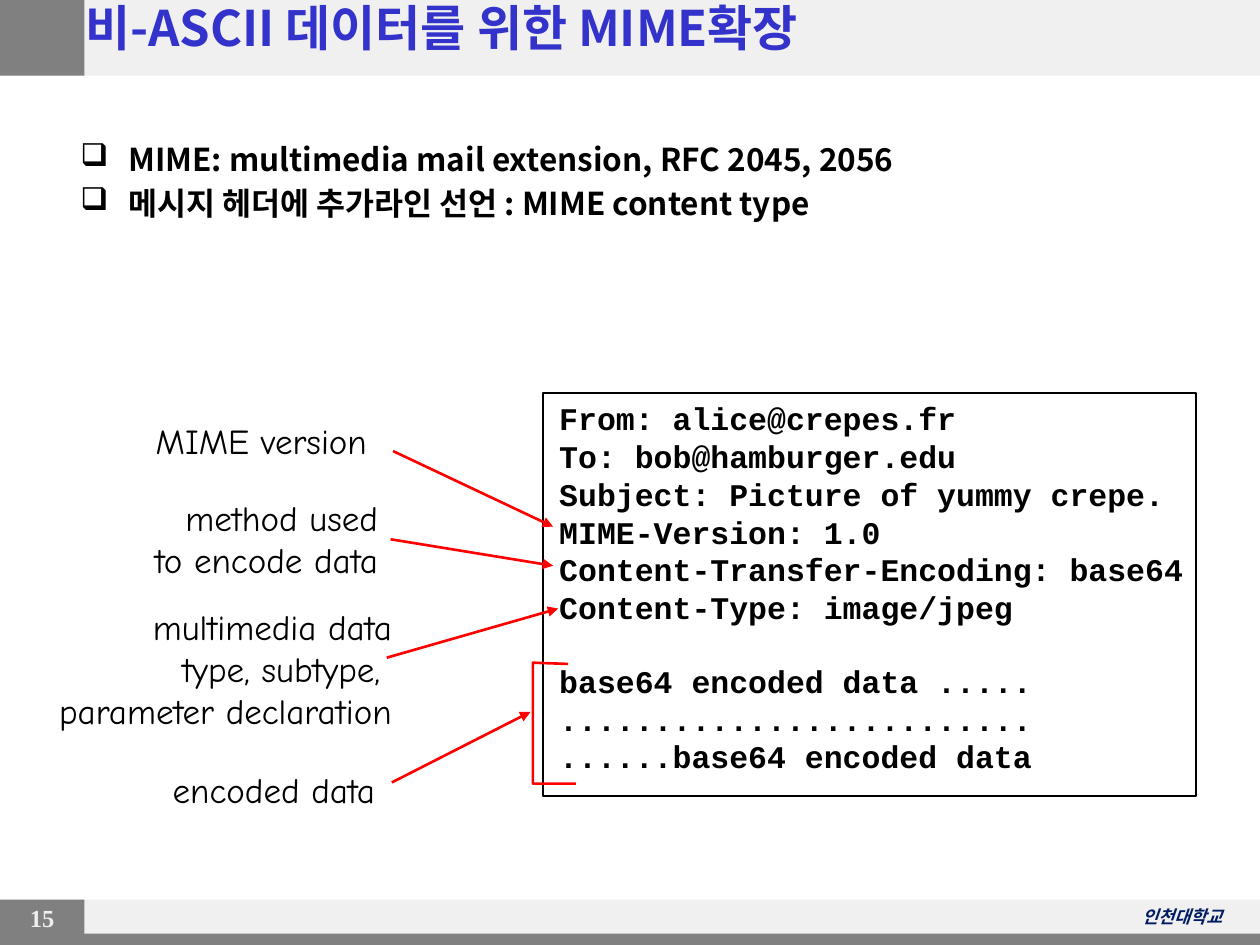
from lxml.etree import SubElement
from pptx import Presentation
from pptx.dml.color import RGBColor
from pptx.enum.shapes import MSO_CONNECTOR, MSO_SHAPE
from pptx.enum.text import MSO_ANCHOR, PP_ALIGN
from pptx.oxml.ns import qn
from pptx.util import Inches, Pt

SANS = "Noto Sans CJK KR"
LEFT, MID, RIGHT = PP_ALIGN.LEFT, PP_ALIGN.CENTER, PP_ALIGN.RIGHT
GRAY, PALE, RED = "808080", "F0F0F0", "FF0000"


def color(code):
    return RGBColor.from_string(code)


def add_box(slide, x, y, w, h, fill=None, line=None):
    box = slide.shapes.add_shape(
        MSO_SHAPE.RECTANGLE, Inches(x), Inches(y), Inches(w), Inches(h))
    box.shadow.inherit = False
    if fill:
        box.fill.solid()
        box.fill.fore_color.rgb = color(fill)
    else:
        box.fill.background()
    if line:
        box.line.color.rgb = color(line)
        box.line.width = Pt(1)
    else:
        box.line.fill.background()


def add_text(slide, x, y, w, h, lines, size, face, ink="000000",
             bold=True, italic=False, align=LEFT, wrap=True):
    box = slide.shapes.add_textbox(Inches(x), Inches(y), Inches(w), Inches(h))
    frame = box.text_frame
    frame.word_wrap = wrap
    frame.text = "\n".join(lines)
    for para in frame.paragraphs:
        para.alignment = align
        for run in para.runs:
            font = run.font
            font.size, font.name = Pt(size), face
            font.bold, font.italic = bold, italic
            font.color.rgb = color(ink)
            # East Asian letters take their own typeface
            SubElement(font._element, qn("a:ea"), typeface=face)
    return frame


def add_bullet(para):
    props = para._p.get_or_add_pPr()
    props.set("marL", str(Inches(0.38)))
    props.set("indent", str(-Inches(0.38)))
    SubElement(props, qn("a:buChar"), char="❑")


def add_arrow(slide, x1, y1, x2, y2):
    arrow = slide.shapes.add_connector(
        MSO_CONNECTOR.STRAIGHT, Inches(x1), Inches(y1), Inches(x2), Inches(y2))
    arrow.line.color.rgb = color(RED)
    arrow.line.width = Pt(1.5)
    SubElement(arrow.line._get_or_add_ln(), qn("a:tailEnd"), type="triangle")
    SubElement(arrow._element.spPr, qn("a:effectLst"))


def add_brace(slide, points):
    spots = [(Inches(x), Inches(y)) for x, y in points]
    maker = slide.shapes.build_freeform(*spots[0], scale=1.0)
    maker.add_line_segments(spots[1:], close=False)
    brace = maker.convert_to_shape()
    brace.shadow.inherit = False
    brace.fill.background()
    brace.line.color.rgb = color(RED)
    brace.line.width = Pt(1.5)


def add_frame(slide):
    # Top and bottom bands with the page number and school
    for y, h in ((7.14, 0.36), (0, 0.6)):
        add_box(slide, 0, y, 10, h, PALE)
        add_box(slide, 0, y, 0.67, h, GRAY)
    add_text(slide, 0.04, 7.12, 0.59, 0.33, ["15"], 14,
             "Times New Roman", "EEEEEE", align=MID)
    add_text(slide, 8.15, 7.14, 1.65, 0.27, ["인천대학교"], 10, SANS,
             "011C61", italic=True, align=RIGHT)
    add_box(slide, 0, 7.41, 10, 0.09, GRAY)


def add_mail(slide):
    # Message header, then the body after a gap of one line
    head = ["From: alice@crepes.fr", "To: bob@hamburger.edu",
            "Subject: Picture of yummy crepe.", "MIME-Version: 1.0",
            "Content-Transfer-Encoding: base64", "Content-Type: image/jpeg"]
    body = ["base64 encoded data .....", "." * 25,
            "......base64 encoded data"]
    mail = add_text(slide, 4.34, 3.12, 5.44, 3.4, head + body, 18,
                    "Courier New")
    mail.paragraphs[len(head)].space_before = Pt(20.4)
    add_box(slide, 4.31, 3.12, 5.18, 3.2, line="000000")


def add_notes(slide):
    # Labels, each with an arrow to its part of the message
    notes = [
        ((1.06, 3.28, 2.03, 0.43), ["MIME version"], MID,
         (3.12, 3.58, 4.39, 4.18)),
        ((0.98, 3.89, 2.12, 0.77), ["method used", "to encode data"], RIGHT,
         (3.1, 4.28, 4.39, 4.49)),
        ((0.12, 4.76, 3.09, 1.1),
         ["multimedia data", "type, subtype, ", "parameter declaration"],
         RIGHT, (3.07, 5.22, 4.43, 4.83)),
        ((1.21, 6.05, 1.93, 0.43), ["encoded data"], MID,
         (3.11, 6.21, 4.21, 5.65)),
    ]
    for place, lines, align, ends in notes:
        add_text(slide, *place, lines, 20, "Comic Neue", bold=False,
                 align=align, wrap=False)
        add_arrow(slide, *ends)
    add_brace(slide, [(4.51, 5.27), (4.23, 5.26), (4.23, 6.22), (4.57, 6.22)])


def main():
    deck = Presentation()
    deck.slide_width, deck.slide_height = Inches(10), Inches(7.5)
    slide = deck.slides.add_slide(deck.slide_layouts[6])
    add_frame(slide)

    # Title and bullet points
    title = add_text(slide, 0.58, -0.07, 9.17, 0.57,
                     ["비-ASCII 데이터를 위한 MIME확장"], 28, SANS, "3333CC")
    title.vertical_anchor = MSO_ANCHOR.MIDDLE
    points = add_text(slide, 0.54, 1.06, 8.01, 5.08,
                      ["MIME: multimedia mail extension, RFC 2045, 2056",
                       "메시지 헤더에 추가라인 선언 : MIME content type"],
                      18, SANS)
    for para in points.paragraphs:
        add_bullet(para)
    points.paragraphs[1].space_before = Pt(3.6)

    add_mail(slide)
    add_notes(slide)
    deck.save("out.pptx")


if __name__ == "__main__":
    main()
